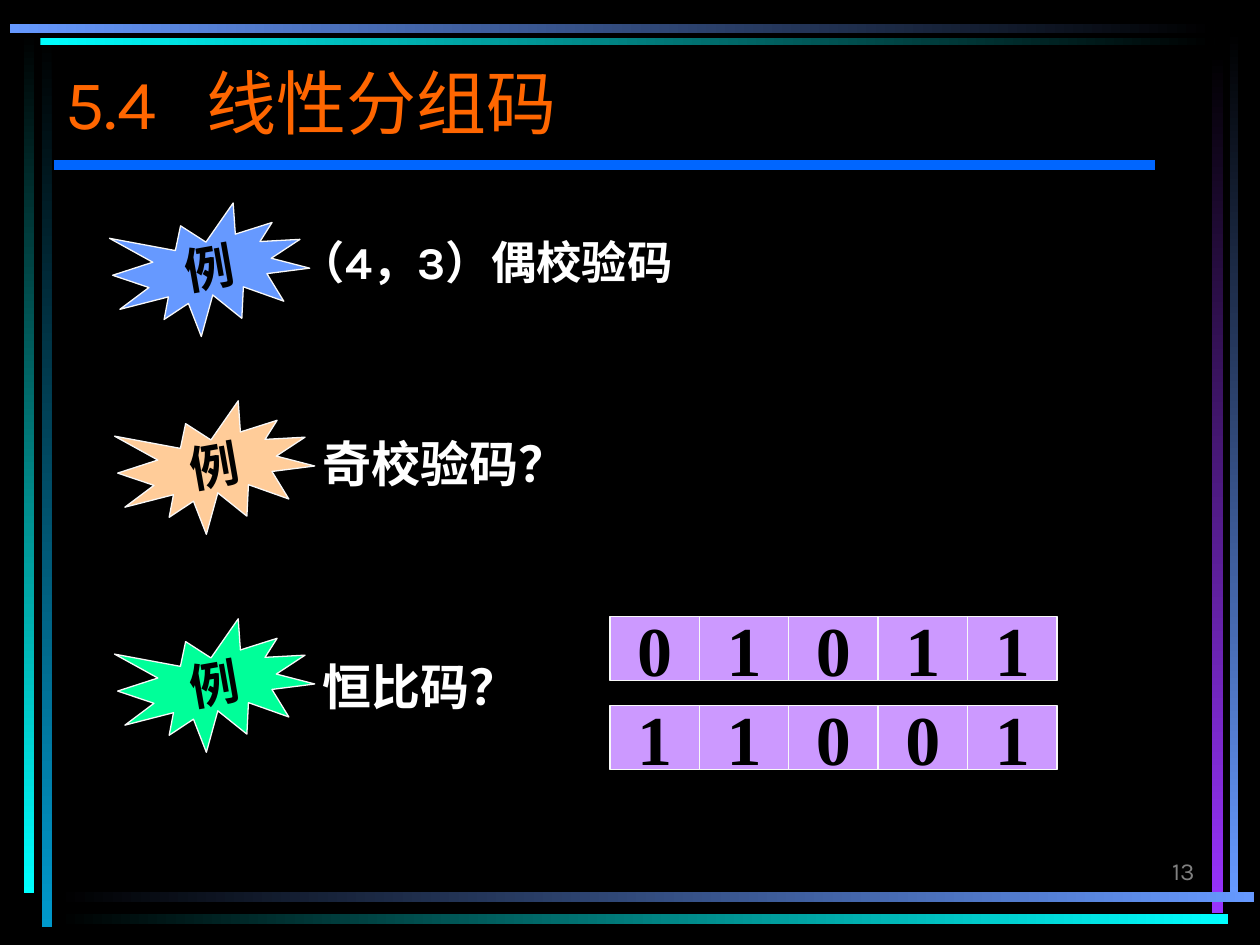
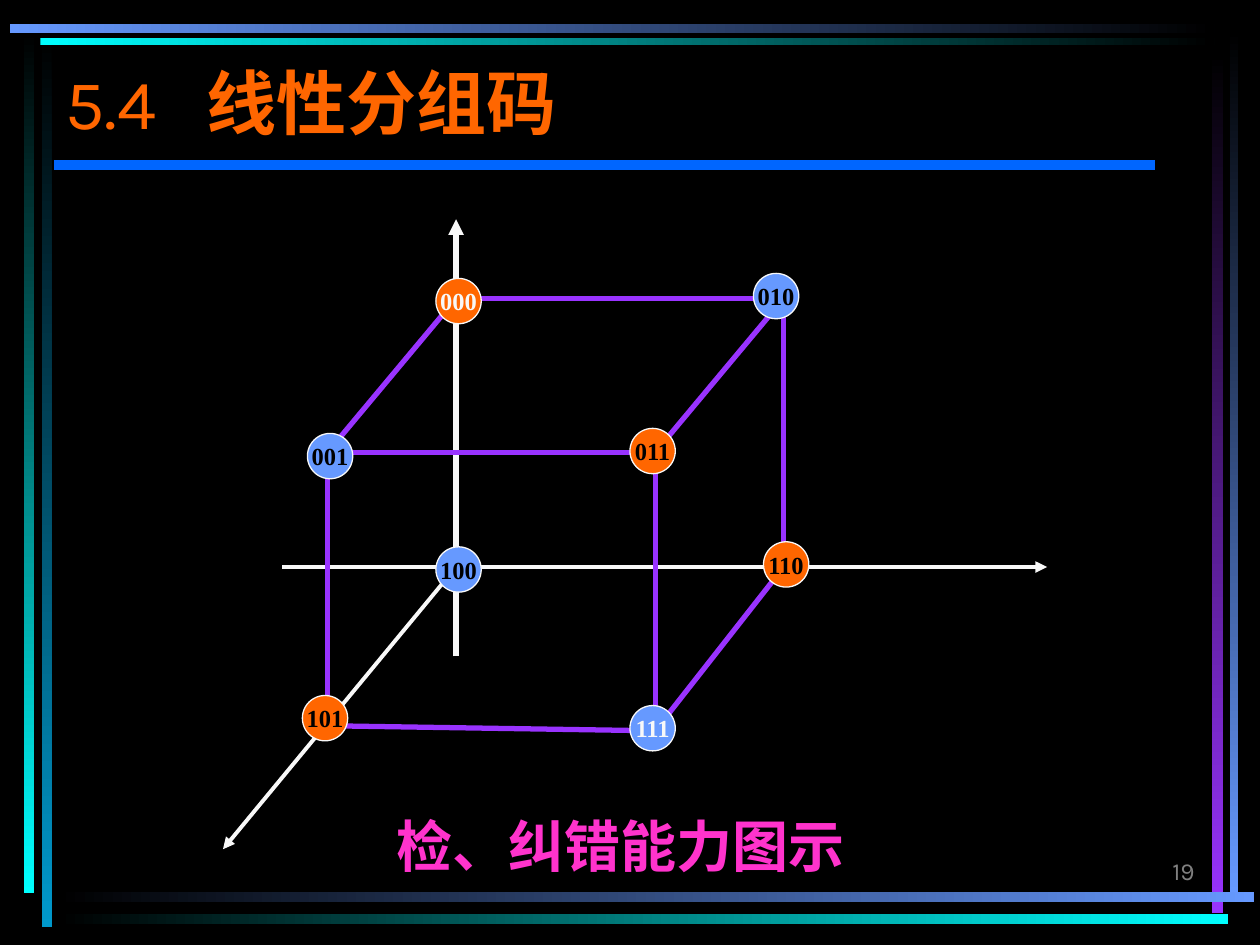
from lxml import etree
from pptx import Presentation
from pptx.dml.color import RGBColor
from pptx.enum.shapes import MSO_CONNECTOR, MSO_SHAPE
from pptx.enum.text import MSO_ANCHOR, MSO_AUTO_SIZE, PP_ALIGN
from pptx.oxml.ns import qn
from pptx.util import Inches, Pt

RECTANGLE, OVAL, SEAL = MSO_SHAPE.RECTANGLE, MSO_SHAPE.OVAL, MSO_SHAPE.EXPLOSION1
STRAIGHT = MSO_CONNECTOR.STRAIGHT
TOP, MIDDLE, BOTTOM = MSO_ANCHOR.TOP, MSO_ANCHOR.MIDDLE, MSO_ANCHOR.BOTTOM
LEFT, CENTER, RIGHT = PP_ALIGN.LEFT, PP_ALIGN.CENTER, PP_ALIGN.RIGHT
NO_AUTOFIT = MSO_AUTO_SIZE.NONE

BLACK, WHITE, PALE, GREY = "000000", "FFFFFF", "F8F8F8", "808080"
BLUE, CYAN, PURPLE, ORANGE = "6699FF", "00FFFF", "9933FF", "FF6600"
SANS, SERIF = "Karla", "Times New Roman"

SECTION, TOPIC = "5.4", "线性分组码"
DOWNWARD, RIGHTWARD = 270, 0
BANDS = [
    ((0.33, 0.28, 0.08, 7.08), BLACK, "0099CC", DOWNWARD),
    ((0.19, 0.25, 0.08, 6.84), BLACK, CYAN, DOWNWARD),
    ((9.76, 0.24, 0.07, 6.85), BLACK, BLUE, DOWNWARD),
    ((9.62, 0.42, 0.09, 6.83), BLACK, PURPLE, DOWNWARD),
    ((0.45, 7.08, 9.5, 0.08), BLACK, BLUE, RIGHTWARD),
    ((0.45, 7.25, 9.3, 0.08), BLACK, CYAN, RIGHTWARD),
    ((0.32, 0.3, 9.32, 0.06), CYAN, BLACK, RIGHTWARD),
    ((0.08, 0.19, 9.56, 0.07), BLUE, BLACK, RIGHTWARD),
]

FIRST_EXAMPLE = "（4，3）偶校验码"
MORE_EXAMPLES = [
    ("奇校验码？", (2.28, 3.39, 2.72, 0.72)),
    ("恒比码？", (2.28, 5.16, 3.58, 0.72)),
]
BADGES = [(0.9, 1.65, BLUE), (0.94, 3.22, "FFCC99"), (0.94, 4.95, "00FF99")]
CODEWORDS = ["01011", "11001"]
GRID_LEFT, GRID_TOP, ROW_STEP = 4.84, 4.89, 0.71
BIT_WIDTH, BIT_HEIGHT = 0.71, 0.51

AXES = [
    ((2.24, 4.5), (8.31, 4.5), 2.25),
    ((3.62, 5.21), (3.62, 1.74), 3),
    ((3.62, 4.5), (1.77, 6.74), 2.25),
]
CORNERS = {
    "000": (3.62, 2.37), "010": (6.22, 2.37),
    "001": (2.6, 3.59), "011": (5.2, 3.59),
    "110": (6.22, 4.5), "111": (5.2, 5.8), "101": (2.6, 5.76),
}
EDGES = [
    ("101", "111"), ("111", "110"), ("101", "001"), ("111", "011"), ("110", "010"),
    ("000", "010"), ("001", "011"), ("011", "010"), ("001", "000"),
]
NODE_DIAMETER, NODE_TEXT = 0.36, 14
NODES = [
    ("001", 2.62, 3.62, BLUE, BLACK),
    ("100", 3.64, 4.52, BLUE, BLACK),
    ("111", 5.18, 5.78, BLUE, PALE),
    ("010", 6.16, 2.35, BLUE, BLACK),
    ("101", 2.58, 5.7, ORANGE, BLACK),
    ("011", 5.18, 3.58, ORANGE, BLACK),
    ("000", 3.64, 2.39, ORANGE, PALE),
    ("110", 6.24, 4.48, ORANGE, BLACK),
]
CAPTION = "检、纠错能力图示"


def rgb(color):
    return RGBColor.from_string(color)


def set_all(target, values):
    for name, value in values.items():
        setattr(target, name, value)


def inches(*lengths):
    return [Inches(length) for length in lengths]


def place(shape, box):
    set_all(shape, dict(zip(("left", "top", "width", "height"), inches(*box))))


def style_font(font, face, size, color, bold=False):
    set_all(font, {"name": face, "size": Pt(size), "bold": bold})
    font.color.rgb = rgb(color)


def write(shape, text, face, size, color, bold=False, align=LEFT, anchor=TOP, wrap=True):
    frame = shape.text_frame
    frame.text = text
    set_all(frame, {"auto_size": NO_AUTOFIT, "word_wrap": wrap, "vertical_anchor": anchor})
    paragraph = frame.paragraphs[0]
    set_all(paragraph, {"alignment": align, "space_before": Pt(0)})
    style_font(paragraph.runs[0].font, face, size, color, bold)
    return paragraph


def add_text(slide, box, *args, **options):
    return write(slide.shapes.add_textbox(*inches(*box)), *args, **options)


def add_shape(slide, kind, box):
    shape = slide.shapes.add_shape(kind, *inches(*box))
    shape.shadow.inherit = False
    return shape


def add_label(slide, kind, box, fill, text, size, color=BLACK):
    shape = add_shape(slide, kind, box)
    shape.fill.solid()
    shape.fill.fore_color.rgb = rgb(fill)
    shape.line.color.rgb = rgb(PALE)
    shape.line.width = Pt(0.75)
    write(shape, text, SERIF, size, color, True, CENTER, MIDDLE, False)
    return shape


def add_line(slide, start, end, color, width, arrow=False):
    connector = slide.shapes.add_connector(STRAIGHT, *inches(*start, *end))
    connector.line.color.rgb = rgb(color)
    connector.line.width = Pt(width)
    if arrow:
        etree.SubElement(connector.line._get_or_add_ln(), qn("a:tailEnd"), type="triangle")
    etree.SubElement(connector._element.spPr, qn("a:effectLst"))


def add_band(slide, box, first, last, angle):
    band = add_shape(slide, RECTANGLE, box)
    band.line.fill.background()
    band.fill.gradient()
    band.fill.gradient_angle = angle
    for stop, color in zip(band.fill.gradient_stops, (first, last)):
        stop.color.rgb = rgb(color)


def add_page(prs, layout, number, bold_topic):
    slide = prs.slides.add_slide(prs.slide_layouts[layout])
    for band in BANDS:
        add_band(slide, *band)
    add_line(slide, (0.43, 1.31), (9.17, 1.31), "0066FF", 6)
    add_text(slide, (7.5, 6.58, 2.08, 0.5), number, SANS, 14, GREY, align=RIGHT, anchor=BOTTOM)
    title = slide.shapes.title
    place(title, (0.42, 0.42, 8.75, 0.92))
    heading = write(title, SECTION + "\t", SANS, 40, ORANGE)
    tabs = etree.SubElement(heading._p.get_or_add_pPr(), qn("a:tabLst"))
    etree.SubElement(tabs, qn("a:tab"), pos=str(Inches(1.12)), algn="l")
    topic = heading.add_run()
    topic.text = TOPIC
    style_font(topic.font, SANS, 40, ORANGE, bold_topic)
    return slide


def build_examples(prs):
    slide = add_page(prs, 1, "13", False)
    body = slide.placeholders[1]
    place(body, (2.28, 1.81, 3.58, 0.72))
    lead = write(body, FIRST_EXAMPLE, SANS, 25.9, WHITE, True)
    properties = lead._p.get_or_add_pPr()
    for name in ("marL", "indent"):
        properties.set(name, "0")
    etree.SubElement(properties, qn("a:buNone"))
    for left, top, fill in BADGES:
        add_label(slide, SEAL, (left, top, 1.55, 1), fill, "例", 28).rotation = 350
    for text, box in MORE_EXAMPLES:
        example = add_text(slide, box, text, SANS, 28, WHITE, True)
        example._p.get_or_add_pPr().set("marL", str(Inches(0.18)))
    for row, codeword in enumerate(CODEWORDS):
        for column, bit in enumerate(codeword):
            box = (GRID_LEFT + column * BIT_WIDTH, GRID_TOP + row * ROW_STEP, BIT_WIDTH, BIT_HEIGHT)
            add_label(slide, RECTANGLE, box, "CC99FF", bit, 40)


def build_cube(prs):
    slide = add_page(prs, 5, "19", True)
    for start, end, width in AXES:
        add_line(slide, start, end, PALE, width, arrow=True)
    for start, end in EDGES:
        add_line(slide, CORNERS[start], CORNERS[end], PURPLE, 3)
    radius = NODE_DIAMETER / 2
    for code, x, y, fill, color in NODES:
        box = (x - radius, y - radius, NODE_DIAMETER, NODE_DIAMETER)
        add_label(slide, OVAL, box, fill, code, NODE_TEXT, color)
    add_text(slide, (1.97, 6.39, 5.91, 0.64), CAPTION, SERIF, 32, "FF33CC", True, CENTER)


def main():
    prs = Presentation()
    set_all(prs, {"slide_width": Inches(10), "slide_height": Inches(7.5)})
    backdrop = prs.slide_master.background.fill
    backdrop.solid()
    backdrop.fore_color.rgb = rgb(BLACK)
    build_examples(prs)
    build_cube(prs)
    prs.save("out.pptx")


if __name__ == "__main__":
    main()
